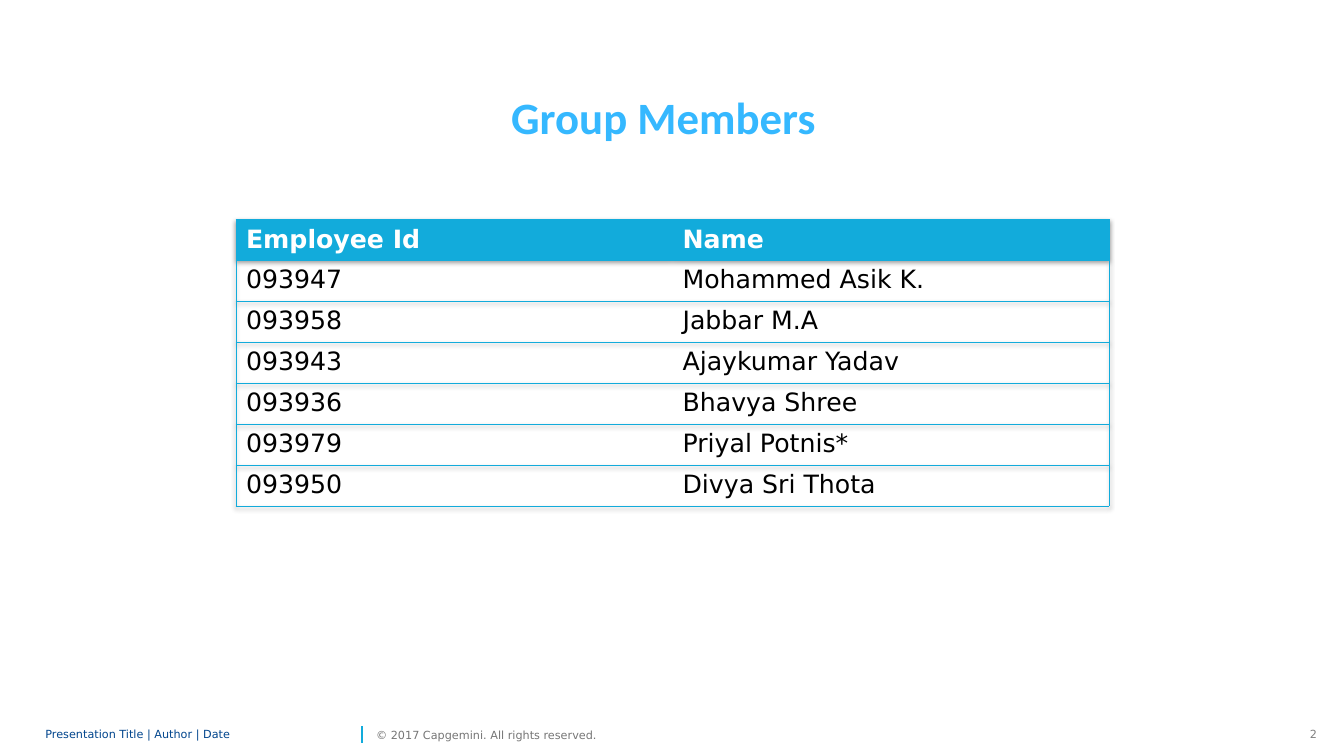
from lxml import etree
from pptx import Presentation
from pptx.dml.color import RGBColor
from pptx.enum.text import MSO_ANCHOR as Anchor, PP_ALIGN as Align
from pptx.oxml import parse_xml
from pptx.oxml.ns import nsdecls, qn
from pptx.util import Inches, Pt

TITLE = "Group Members"
ROWS = [
    ("Employee Id", "Name"),
    ("093947", "Mohammed Asik K."),
    ("093958", "Jabbar M.A"),
    ("093943", "Ajaykumar Yadav"),
    ("093936", "Bhavya Shree"),
    ("093979", "Priyal Potnis*"),
    ("093950", "Divya Sri Thota"),
]
FOOTER = "Presentation Title | Author | Date"
RIGHTS = "© 2017 Capgemini. All rights reserved."
NUMBER = "2"

CYAN = RGBColor(0x12, 0xAB, 0xDB)
SKY = RGBColor(0x35, 0xB8, 0xFF)
NAVY = RGBColor(0x00, 0x45, 0x8D)
GREY = RGBColor(0x76, 0x76, 0x76)
SILVER = RGBColor(0x80, 0x80, 0x80)
WHITE = RGBColor(0xFF, 0xFF, 0xFF)
BLACK = RGBColor(0, 0, 0)

NO_STYLE = "{2D5ABB26-0587-4C30-8999-92F81FD0307C}"
SHADOW = (
    f'<a:effectLst {nsdecls("a")}>'
    '<a:outerShdw blurRad="40000" dist="20000" dir="5400000" rotWithShape="0">'
    '<a:srgbClr val="000000"><a:alpha val="38000"/></a:srgbClr>'
    '</a:outerShdw></a:effectLst>'
)


def write(frame, text, size=8, color=BLACK, font="DejaVu Sans", bold=False,
          align=Align.LEFT, spacing=None):
    para = frame.paragraphs[0]
    para.alignment = align
    para.line_spacing = spacing
    run = para.add_run()
    run.text = text
    run.font.size = Pt(size)
    run.font.name = font
    run.font.bold = bold
    run.font.color.rgb = color


def place(shape, left, top, width, height):
    shape.left, shape.top = Inches(left), Inches(top)
    shape.width, shape.height = Inches(width), Inches(height)


def add_label(slide, box, text, inset=True, wrap=False, **style):
    frame = slide.shapes.add_textbox(*map(Inches, box)).text_frame
    frame.word_wrap = wrap
    if not inset:
        frame.margin_left = frame.margin_right = 0
        frame.margin_top = frame.margin_bottom = 0
        frame.vertical_anchor = Anchor.MIDDLE
    write(frame, text, **style)


def set_edges(cell, sides):
    """Draw thin cyan borders on the given sides, in L, R, T, B order."""
    props = cell._tc.get_or_add_tcPr()
    for place_no, side in enumerate(sides):
        edge = parse_xml(
            f'<a:ln{side} {nsdecls("a")} w="{Pt(0.5)}"><a:solidFill>'
            f'<a:srgbClr val="{CYAN}"/></a:solidFill></a:ln{side}>')
        props.insert(place_no, edge)


def add_members(slide):
    frame = slide.shapes.add_table(len(ROWS), 2, Inches(2.34), Inches(2.18),
                                   Inches(8.66), Inches(2.84))
    table = frame.table
    props = table._tbl.tblPr
    props.find(qn("a:tableStyleId")).text = NO_STYLE
    props.insert(0, parse_xml(SHADOW))
    table.horz_banding = False
    for r, row in enumerate(ROWS):
        head = r == 0
        for c, text in enumerate(row):
            cell = table.cell(r, c)
            write(cell.text_frame, text, size=18, bold=head,
                  color=WHITE if head else BLACK)
            if head:
                cell.fill.solid()
                cell.fill.fore_color.rgb = CYAN
            else:
                cell.fill.background()
            set_edges(cell, ("L" if c == 0 else "R", "T", "B"))


def add_footer(slide):
    add_label(slide, (12.89, 7.17, 0.27, 0.24), NUMBER, color=SILVER,
              align=Align.RIGHT)
    rule = slide.shapes.add_connector(1, Inches(3.59), Inches(7.37),
                                      Inches(3.59), Inches(7.2))
    rule.line.color.rgb = CYAN
    rule.line.width = Pt(1)
    etree.SubElement(rule._element.spPr, qn("a:effectLst"))
    add_label(slide, (0.45, 7.17, 3.09, 0.24), FOOTER, inset=False, wrap=True,
              color=NAVY, spacing=0.85)
    add_label(slide, (3.73, 7.17, 2.43, 0.24), RIGHTS, inset=False, color=GREY)


def main():
    deck = Presentation()
    deck.slide_width, deck.slide_height = Inches(13.33), Inches(7.5)
    slide = deck.slides.add_slide(deck.slide_layouts[5])
    title = slide.shapes.title
    place(title, 4.97, 0.84, 3.39, 0.64)
    title.text_frame.vertical_anchor = Anchor.TOP
    write(title.text_frame, TITLE, size=32, color=SKY, font="Calibri", bold=True)
    add_members(slide)
    add_footer(slide)
    deck.save("out.pptx")


if __name__ == "__main__":
    main()
